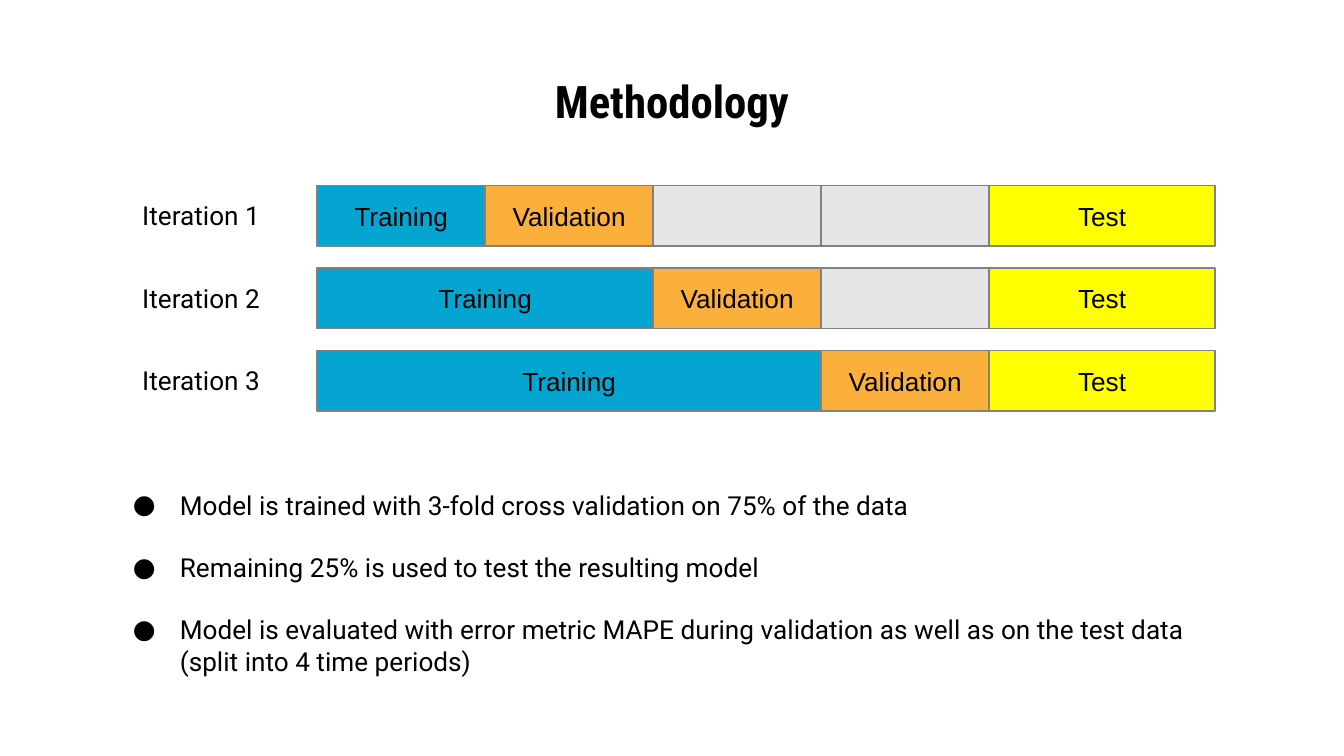
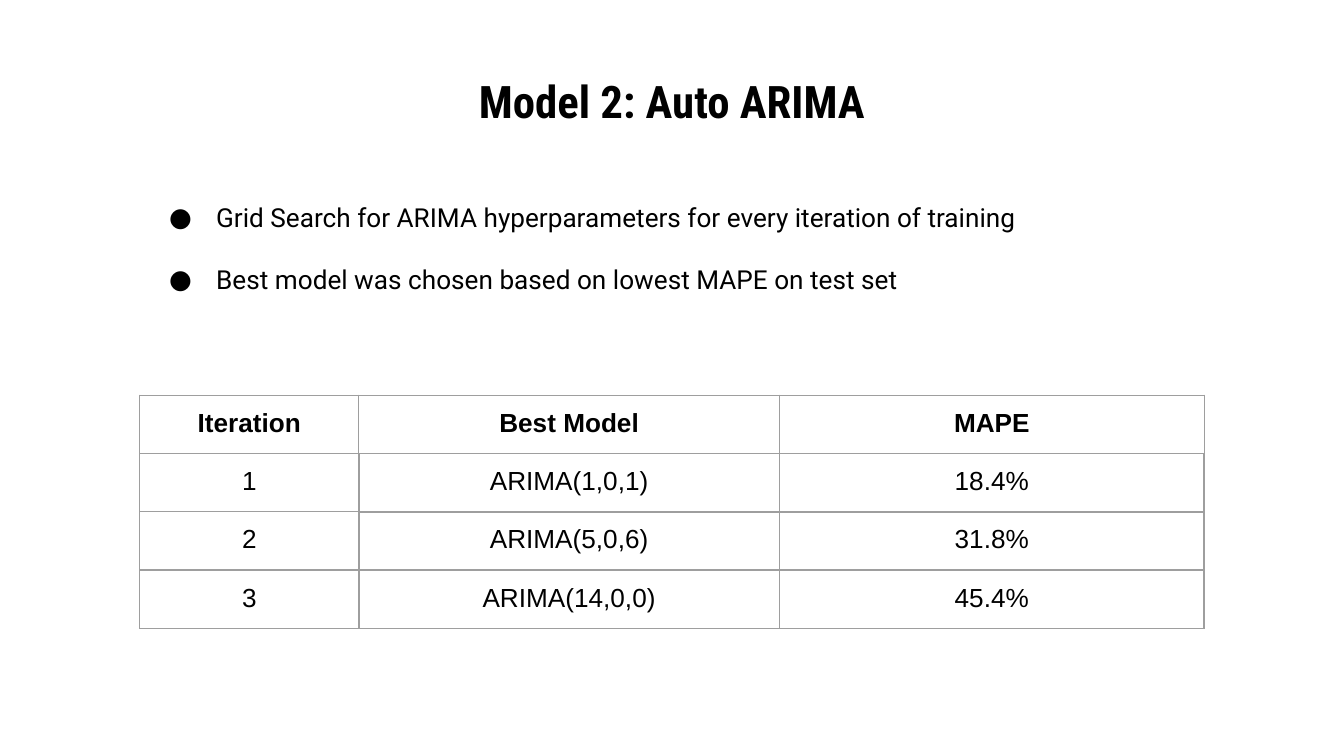
from lxml.etree import SubElement
from pptx import Presentation
from pptx.dml.color import RGBColor
from pptx.enum.shapes import MSO_SHAPE
from pptx.enum.text import MSO_ANCHOR, PP_ALIGN
from pptx.oxml.ns import qn
from pptx.util import Inches, Pt

COLUMNS, ROWS = 100, 56.25
COLORS = {
    "text": "000000",
    "training": "04A6D1",
    "validation": "FBB03B",
    "test": "FFFF00",
    "unused": "E6E6E6",
    "outline": "818181",
    "grid": "9E9E9E",
}
TITLE = {"name": "Roboto Condensed", "size": Pt(24), "bold": True}
BODY = {"name": "Roboto", "size": Pt(14)}
LABEL = {"name": "Arial", "size": Pt(14), "bold": False}
HEADER = LABEL | {"bold": True}


def cells(count):
    """Length of a number of grid columns or rows."""
    return Inches(count / 10)


def color(name):
    return RGBColor.from_string(COLORS[name])


def pad(holder):
    """Give a text frame or table cell the shared inner margin."""
    for side in ("left", "top", "right", "bottom"):
        setattr(holder, f"margin_{side}", cells(1))


class SlideBuilder:
    """Holds the deck, its style and the current slide; lengths are grid cells."""

    def __init__(self):
        self.deck = Presentation()
        self.deck.slide_width = cells(COLUMNS)
        self.deck.slide_height = cells(ROWS)
        self.page = None

    def new_page(self, title):
        self.page = self.deck.slides.add_slide(self.deck.slide_layouts[6])
        self.text(title, (5, 4.5, 90, 6.3), TITLE, PP_ALIGN.CENTER)

    def add_span(self, para, text, style, align=PP_ALIGN.LEFT):
        para.alignment = align
        span = para.add_run()
        span.text = text
        for name, value in style.items():
            setattr(span.font, name, value)
        span.font.color.rgb = color("text")

    def frame(self, box):
        frame = box.text_frame
        frame.word_wrap = True
        pad(frame)
        return frame

    def text_frame(self, area):
        return self.frame(self.page.shapes.add_textbox(*map(cells, area)))

    def text(self, text, area, style=BODY, align=PP_ALIGN.LEFT):
        self.add_span(self.text_frame(area).paragraphs[0], text, style, align)

    def bullets(self, lines, area):
        frame = self.text_frame(area)
        for index, line in enumerate(lines):
            para = frame.add_paragraph() if index else frame.paragraphs[0]
            if index:
                para.space_before = Pt(16.5)
            self.add_span(para, line, BODY)
            props = para._p.get_or_add_pPr()
            props.set("marL", str(cells(5)))
            props.set("indent", str(cells(-3.5)))
            tint = SubElement(props, qn("a:buClr"))
            SubElement(tint, qn("a:srgbClr"), val=COLORS["text"])
            SubElement(props, qn("a:buFont"), typeface="Roboto")
            SubElement(props, qn("a:buChar"), char="●")

    def bar(self, parent, kind, area):
        """Add one block of a split; unused blocks carry no text."""
        box = parent.shapes.add_shape(MSO_SHAPE.RECTANGLE, *map(cells, area))
        box.shadow.inherit = False
        box.fill.solid()
        box.fill.fore_color.rgb = color(kind)
        box.line.color.rgb = color("outline")
        box.line.width = Pt(0.75)
        if kind != "unused":
            frame = self.frame(box)
            frame.vertical_anchor = MSO_ANCHOR.MIDDLE
            self.add_span(
                frame.paragraphs[0], kind.capitalize(), LABEL, PP_ALIGN.CENTER
            )

    def split(self, iteration, folds=4, left=23.6, fold=12.5, test=16.8, height=4.5):
        """Draw one iteration: the training part grows by a fold each time."""
        top = 13.8 + 6.15 * (iteration - 1)
        group = self.page.shapes.add_group_shape()
        parts = [("training", iteration * fold), ("validation", fold)]
        parts += [("unused", fold)] * (folds - iteration - 1)
        for kind, width in parts + [("test", test)]:
            self.bar(group, kind, (left, top, width, height))
            left += width
        self.text(f"Iteration {iteration}", (9.6, top + 0.05, 10.9, 4.4))

    def borders(self, cell, row, column):
        """Thin lines along the header and first column, thicker ones elsewhere."""
        edge = row == 0 or column == 0
        thin = {"L": edge, "R": row == 0, "T": edge, "B": column == 0}
        props = cell._tc.get_or_add_tcPr()
        for side, is_thin in thin.items():
            width = Pt(0.75 if is_thin else 1)
            line = SubElement(props, qn(f"a:ln{side}"), w=str(width))
            fill = SubElement(line, qn("a:solidFill"))
            SubElement(fill, qn("a:srgbClr"), val=COLORS["grid"])

    def table(self, rows, left, top, widths, row_height):
        area = (left, top, sum(widths), row_height * len(rows))
        table = self.page.shapes.add_table(
            len(rows), len(widths), *map(cells, area)
        ).table
        table.first_row = table.horz_banding = False
        for column, width in zip(table.columns, widths):
            column.width = cells(width)
        for row, values in enumerate(rows):
            for column, value in enumerate(values):
                cell = table.cell(row, column)
                pad(cell)
                self.borders(cell, row, column)
                cell.fill.background()
                style = LABEL if row else HEADER
                para = cell.text_frame.paragraphs[0]
                self.add_span(para, value, style, PP_ALIGN.CENTER)


def main():
    builder = SlideBuilder()

    builder.new_page("Methodology")
    for iteration in (1, 2, 3):
        builder.split(iteration)
    builder.bullets(
        [
            "Model is trained with 3-fold cross validation on 75% of the data",
            "Remaining 25% is used to test the resulting model",
            "Model is evaluated with error metric MAPE during validation "
            "as well as on the test data (split into 4 time periods)",
        ],
        (7.4, 35.4, 83, 16.2),
    )

    builder.new_page("Model 2: Auto ARIMA")
    builder.bullets(
        [
            "Grid Search for ARIMA hyperparameters for every iteration of training",
            "Best model was chosen based on lowest MAPE on test set",
        ],
        (10.1, 14, 79.9, 9.1),
    )
    builder.table(
        [
            ("Iteration", "Best Model", "MAPE"),
            ("1", "ARIMA(1,0,1)", "18.4%"),
            ("2", "ARIMA(5,0,6)", "31.8%"),
            ("3", "ARIMA(14,0,0)", "45.4%"),
        ],
        left=10.4, top=29.4, widths=(16.3, 31.3, 31.6), row_height=4.2,
    )

    builder.deck.save("out.pptx")


if __name__ == "__main__":
    main()
